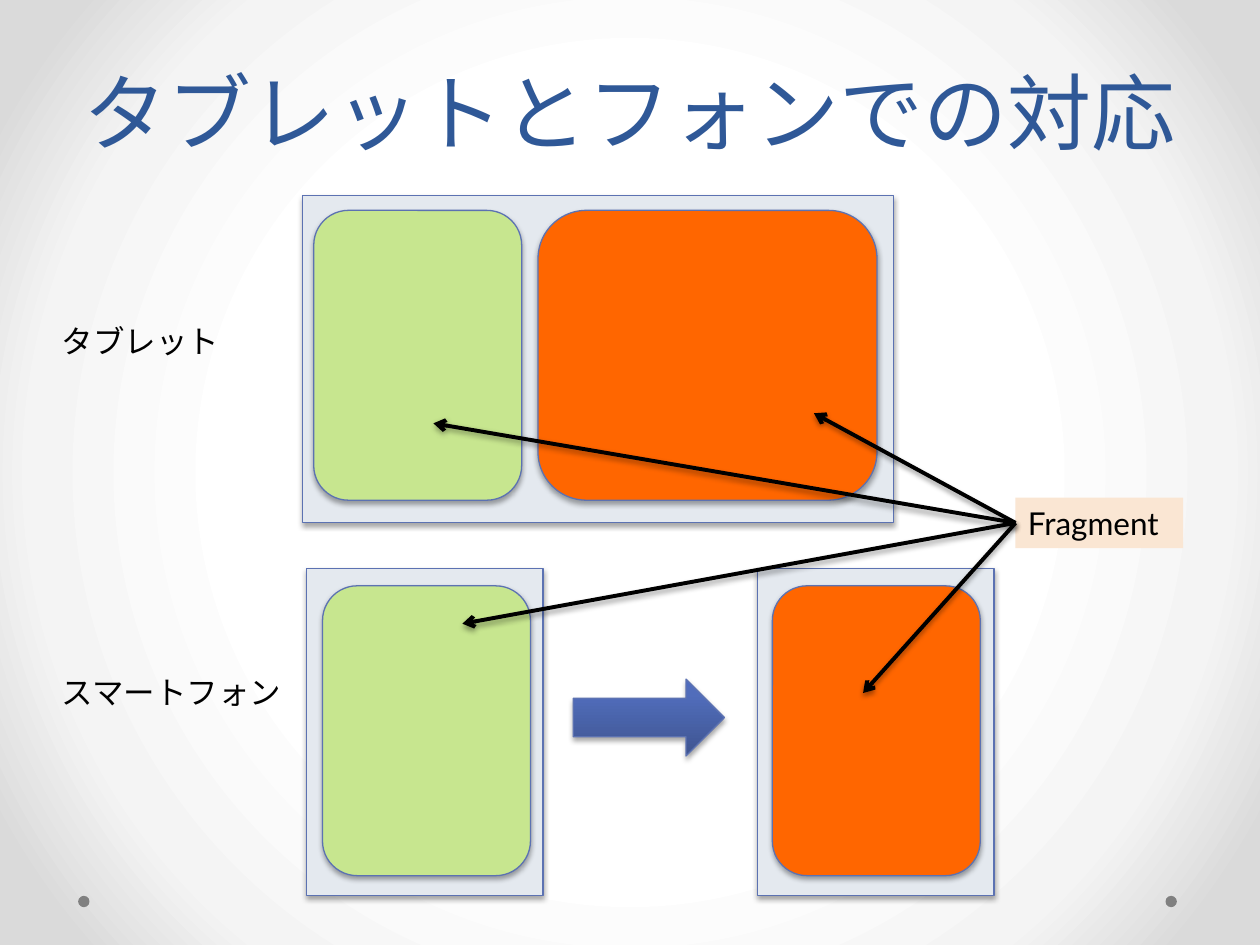
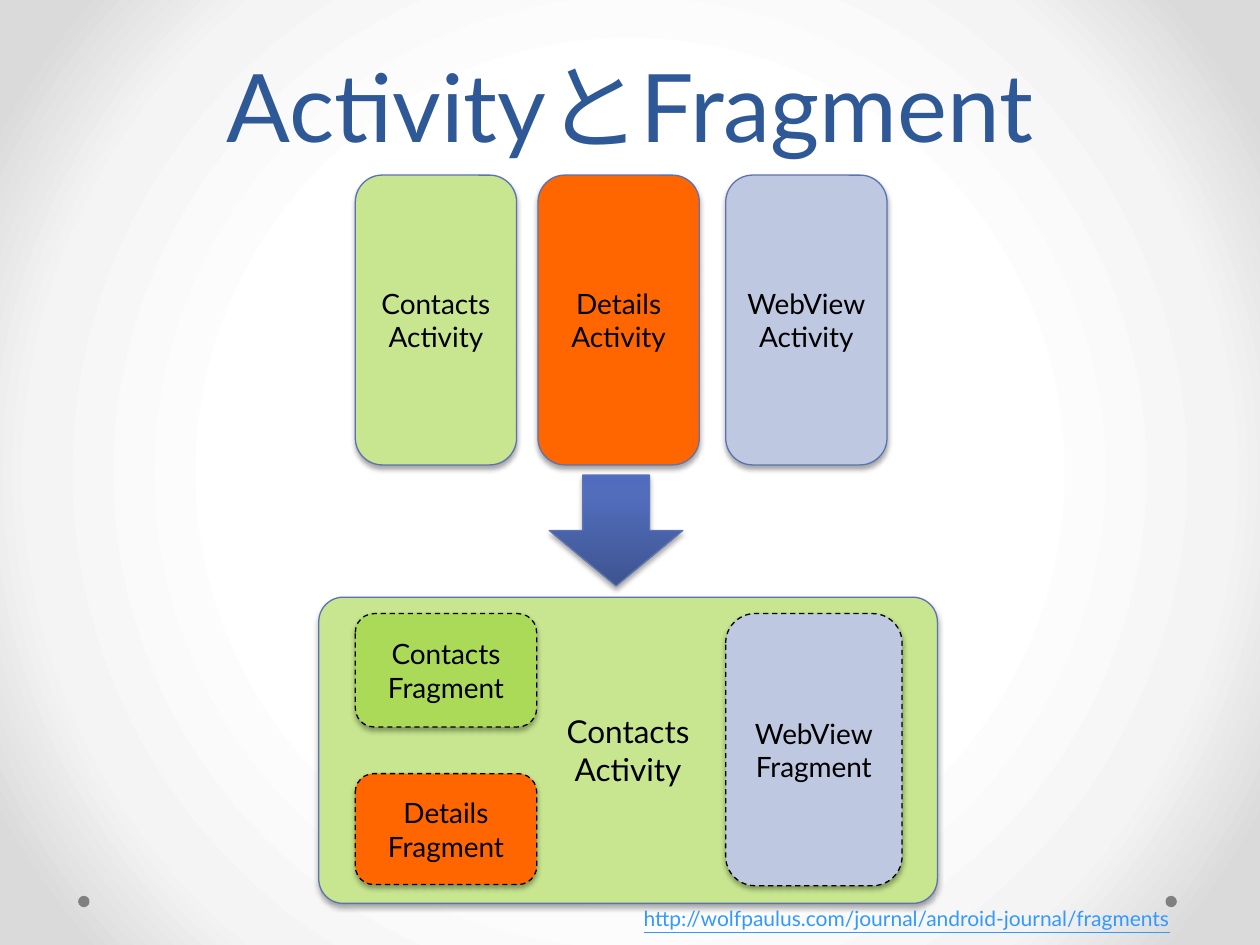
"""Build two slides on how activities and fragments serve tablets and phones."""
from pptx import Presentation
from pptx.dml.color import RGBColor
from pptx.enum.dml import MSO_LINE
from pptx.enum.shapes import MSO_CONNECTOR, MSO_SHAPE
from pptx.enum.text import MSO_ANCHOR, MSO_AUTO_SIZE, PP_ALIGN
from pptx.oxml import parse_xml
from pptx.oxml.ns import nsdecls, qn
from pptx.util import Inches, Pt

FONT = "Lato"
BLACK = RGBColor(0x00, 0x00, 0x00)
TITLE_BLUE = RGBColor(0x2F, 0x58, 0x97)
OUTLINE = RGBColor(0x5C, 0x72, 0xB2)
SCREEN = RGBColor(0xE4, 0xE9, 0xEF)
GREEN = RGBColor(0xC7, 0xE6, 0x8F)
DEEP_GREEN = RGBColor(0xAB, 0xD9, 0x58)
ORANGE = RGBColor(0xFF, 0x66, 0x00)
PALE_BLUE = RGBColor(0xBF, 0xC8, 0xE1)
PEACH = RGBColor(0xFA, 0xE6, 0xD3)
LINK = RGBColor(0x33, 0x99, 0xFF)
DOT_GRAY = RGBColor(0x80, 0x80, 0x80)

BACKDROP_STOPS = [(50, "FFFFFF"), (76, "F4F4F4"), (92, "DADADA")]
ARROW_STOPS = [(0, "3E5490"), (80, "516DBB"), (100, "4F6CBE")]
FROM_CENTRE = ('<a:path path="circle"><a:fillToRect l="50000" t="50000" '
               'r="50000" b="50000"/></a:path>')
UPWARD = '<a:lin ang="16200000" scaled="0"/>'

RECT = MSO_SHAPE.RECTANGLE
ROUNDED = MSO_SHAPE.ROUNDED_RECTANGLE
OVAL = MSO_SHAPE.OVAL
RIGHT_ARROW = MSO_SHAPE.RIGHT_ARROW
DOWN_ARROW = MSO_SHAPE.DOWN_ARROW
STRAIGHT = MSO_CONNECTOR.STRAIGHT
DASH = MSO_LINE.DASH
CENTER = PP_ALIGN.CENTER
LEFT = PP_ALIGN.LEFT
MIDDLE = MSO_ANCHOR.MIDDLE
TOP = MSO_ANCHOR.TOP
FIT_SHAPE = MSO_AUTO_SIZE.SHAPE_TO_FIT_TEXT
NO_FIT = MSO_AUTO_SIZE.NONE
LEFT_SIDE = 1
TITLE_ONLY = 5


def gradient(stops, direction):
    """Return a gradient fill element."""
    marks = "".join(f'<a:gs pos="{pos * 1000}"><a:srgbClr val="{color}"/></a:gs>'
                    for pos, color in stops)
    return parse_xml(f'<a:gradFill {nsdecls("a")} rotWithShape="1">'
                     f'<a:gsLst>{marks}</a:gsLst>{direction}</a:gradFill>')


def add_shadow(shape, opacity=35, distance=1.8):
    """Give a shape or connector a soft shadow below it."""
    shape.element.spPr.append(parse_xml(
        f'<a:effectLst {nsdecls("a")}><a:outerShdw blurRad="{Pt(3.1)}" '
        f'dist="{Pt(distance)}" dir="5400000" rotWithShape="0">'
        f'<a:srgbClr val="000000"><a:alpha val="{opacity * 1000}"/></a:srgbClr>'
        '</a:outerShdw></a:effectLst>'))


def write_text(frame, text, size=18, color=BLACK, align=LEFT, anchor=TOP,
               wrap=True, fit=NO_FIT, spacing=None, underline=None):
    """Write one paragraph per line of text into a frame."""
    frame.text = text
    frame.word_wrap = wrap
    frame.auto_size = fit
    frame.vertical_anchor = anchor
    for paragraph in frame.paragraphs:
        paragraph.alignment = align
        if spacing:
            paragraph.line_spacing = Pt(spacing)
        for run in paragraph.runs:
            run.font.name = FONT
            run.font.size = Pt(size)
            run.font.color.rgb = color
            run.font.underline = underline


def add_plain(slide, kind, box, fill):
    """Add a flat shape without outline or shadow."""
    shape = slide.shapes.add_shape(kind, *map(Inches, box))
    shape.shadow.inherit = False
    shape.fill.solid()
    shape.fill.fore_color.rgb = fill
    shape.line.fill.background()
    return shape


def add_panel(slide, kind, box, fill, text="", size=16, dashed=False, corner=None):
    """Add an outlined, shadowed panel with optional centred text."""
    panel = slide.shapes.add_shape(kind, *map(Inches, box))
    panel.fill.solid()
    panel.fill.fore_color.rgb = fill
    panel.line.color.rgb = BLACK if dashed else OUTLINE
    panel.line.width = Pt(0.75)
    if dashed:
        panel.line.dash_style = DASH
    if corner:
        panel.adjustments[0] = corner
    add_shadow(panel)
    if text:
        write_text(panel.text_frame, text, size=size, align=CENTER, anchor=MIDDLE)


def add_block_arrow(slide, kind, box):
    """Add a block arrow with the blue gradient."""
    arrow = slide.shapes.add_shape(kind, *map(Inches, box))
    arrow.line.color.rgb = OUTLINE
    arrow.line.width = Pt(0.75)
    arrow.element.spPr.insert(2, gradient(ARROW_STOPS, UPWARD))
    add_shadow(arrow)


def add_label(slide, box, text, **text_format):
    """Add an unwrapped text box."""
    label = slide.shapes.add_textbox(*map(Inches, box))
    write_text(label.text_frame, text, wrap=False, fit=FIT_SHAPE, **text_format)


def add_pointer(slide, source, x, y):
    """Draw an arrow from the left side of the source to a point."""
    pointer = slide.shapes.add_connector(
        STRAIGHT, source.left, source.top, Inches(x), Inches(y))
    pointer.begin_connect(source, LEFT_SIDE)
    pointer.line.color.rgb = BLACK
    pointer.line.width = Pt(2.25)
    pointer.element.spPr.find(qn("a:ln")).append(
        parse_xml(f'<a:tailEnd {nsdecls("a")} type="arrow"/>'))
    add_shadow(pointer, opacity=38, distance=1.6)


def add_slide(prs, title, size):
    """Add a slide with the shared title style."""
    slide = prs.slides.add_slide(prs.slide_layouts[TITLE_ONLY])
    heading = slide.shapes.title
    heading.left, heading.top, heading.width, heading.height = map(
        Inches, (0.5, 0, 9, 1.75))
    write_text(heading.text_frame, title, size=size, color=TITLE_BLUE,
               align=CENTER, anchor=MIDDLE, spacing=58)
    return slide


def style_master(prs, slide):
    """Set the backdrop and move the two corner dots to the master."""
    master = prs.slide_master
    content = master.element.find(qn("p:cSld"))
    former = content.find(qn("p:bg"))
    if former is not None:
        content.remove(former)
    backdrop = parse_xml(f'<p:bg {nsdecls("p", "a")}><p:bgPr><a:effectLst/>'
                         '</p:bgPr></p:bg>')
    backdrop[0].insert(0, gradient(BACKDROP_STOPS, FROM_CENTRE))
    content.insert(0, backdrop)
    for number, x in enumerate((0.62, 9.25), start=20):
        dot = add_plain(slide, OVAL, (x, 7.11, 0.09, 0.09), DOT_GRAY)
        dot.element.find(qn("p:nvSpPr"))[0].set("id", str(number))
        master.shapes.element.insert(2, dot.element)


def build_devices(slide):
    """Show the fragments on a tablet and on phones."""
    for box in ((6.01, 4.51, 1.88, 2.6), (2.43, 4.51, 1.88, 2.6),
                (2.4, 1.55, 4.69, 2.6)):
        add_panel(slide, RECT, box, SCREEN)
    for x, y, width, fill in ((2.56, 4.65, 1.65, GREEN), (6.13, 4.65, 1.65, ORANGE),
                              (2.49, 1.67, 1.65, GREEN), (4.27, 1.67, 2.69, ORANGE)):
        add_panel(slide, ROUNDED, (x, y, width, 2.3), fill)
    add_label(slide, (0.39, 2.51, 1.46, 0.4), "タブレット")
    add_label(slide, (0.39, 5.29, 1.97, 0.4), "スマートフォン")
    fragment = add_plain(slide, RECT, (8.06, 3.95, 1.33, 0.4), PEACH)
    write_text(fragment.text_frame, "Fragment", wrap=False, fit=FIT_SHAPE)
    add_block_arrow(slide, RIGHT_ARROW, (4.55, 5.39, 1.2, 0.61))
    for x, y in ((6.46, 3.28), (3.44, 3.36), (6.85, 5.5), (3.67, 4.95)):
        add_pointer(slide, fragment, x, y)


def build_activities(slide):
    """Show three activities merging into one with fragments."""
    for x, name, fill in ((2.82, "Contacts", GREEN), (4.27, "Details", ORANGE),
                          (5.76, "WebView", PALE_BLUE)):
        add_panel(slide, ROUNDED, (x, 1.39, 1.28, 2.3), fill, f"{name}\nActivity")
    add_panel(slide, ROUNDED, (2.53, 4.74, 4.91, 2.43), GREEN,
              "Contacts\nActivity", size=18, corner=0.08)
    for box, name, fill in (((2.82, 4.87, 1.44, 0.9), "Contacts", DEEP_GREEN),
                            ((2.82, 6.14, 1.44, 0.88), "Details", ORANGE),
                            ((5.76, 4.87, 1.4, 2.16), "WebView", PALE_BLUE)):
        add_panel(slide, ROUNDED, box, fill, f"{name}\nFragment", dashed=True)
    add_block_arrow(slide, DOWN_ARROW, (4.36, 3.77, 1.06, 0.88))
    add_label(slide, (5.01, 7.14, 4.86, 0.3),
              "http://wolfpaulus.com/journal/android-journal/fragments",
              size=12, color=LINK, underline=True)


def main():
    """Build and save the presentation."""
    prs = Presentation()
    prs.slide_width, prs.slide_height = Inches(10), Inches(7.5)
    devices = add_slide(prs, "タブレットとフォンでの対応", 48)
    style_master(prs, devices)
    build_devices(devices)
    build_activities(add_slide(prs, "ActivityとFragment", 54))
    prs.save("out.pptx")


if __name__ == "__main__":
    main()
